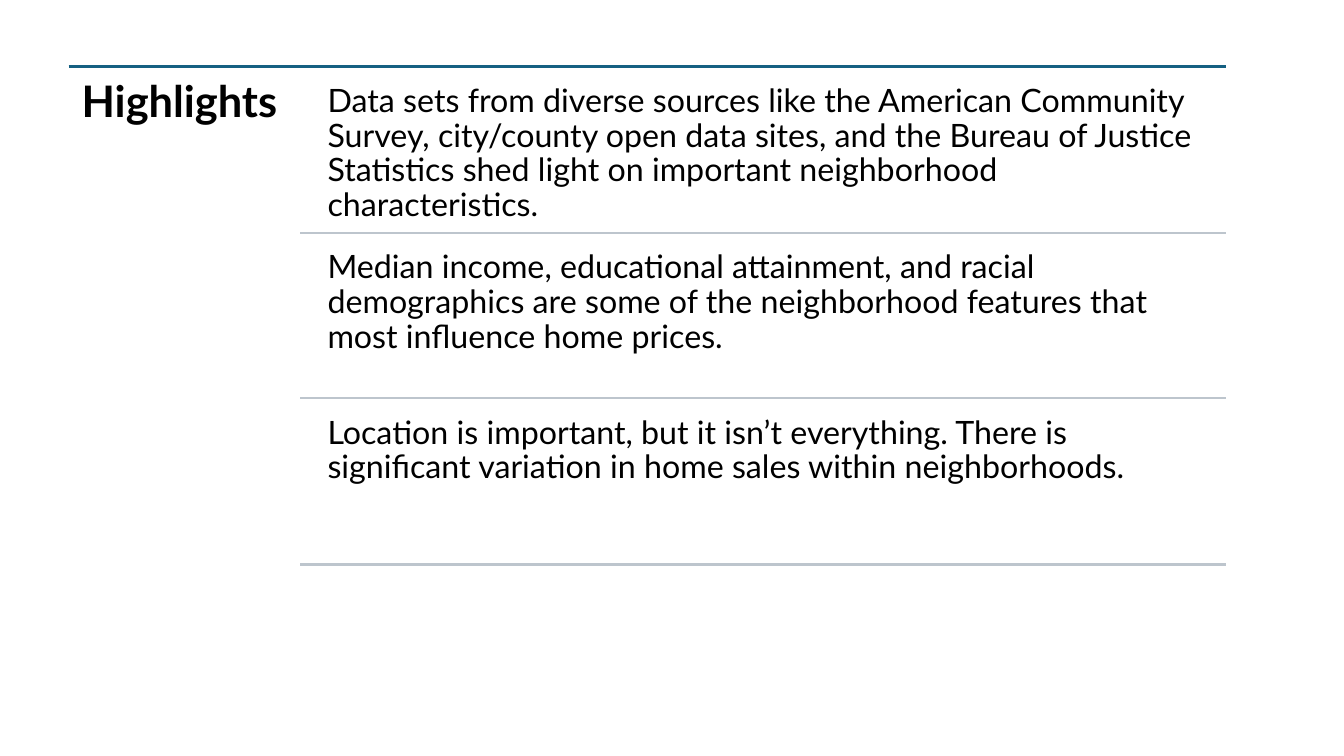
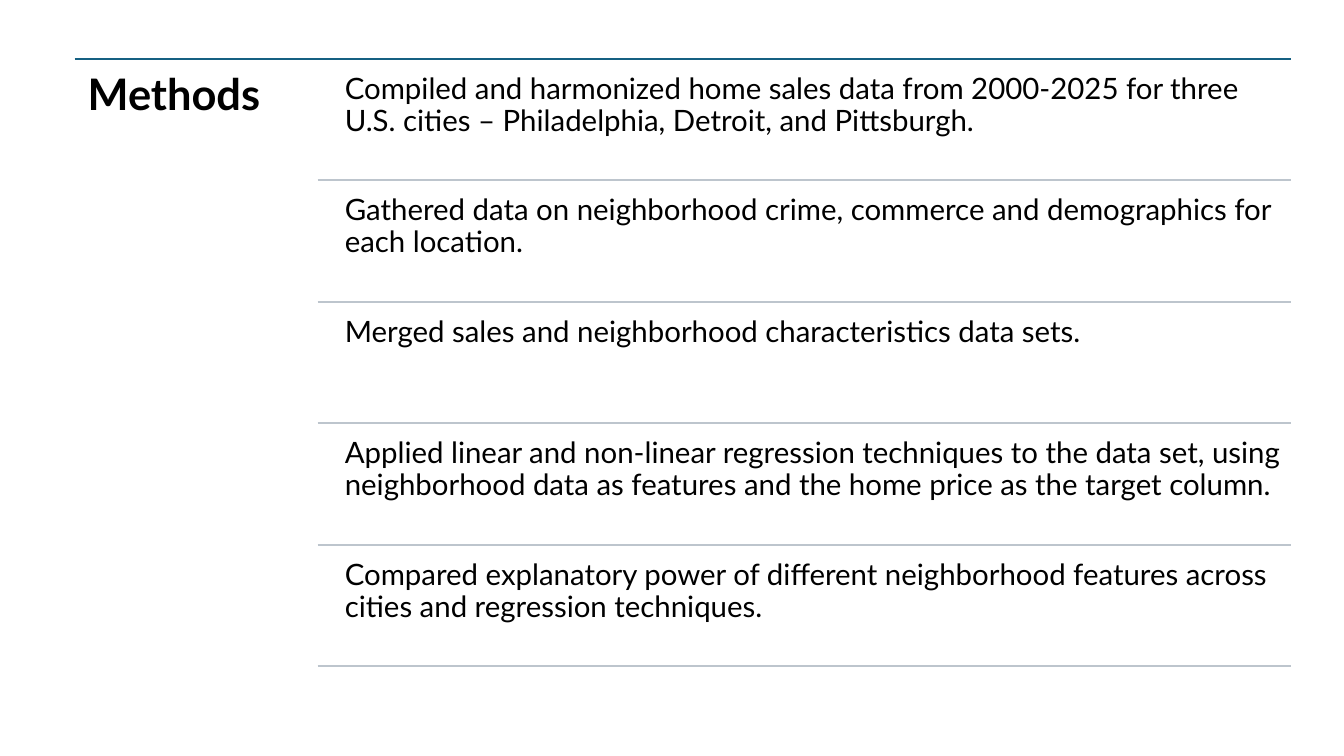
"""Build the Highlights and Methods slides, each a heading beside ruled statements."""
from lxml.etree import SubElement
from pptx import Presentation
from pptx.dml.color import RGBColor
from pptx.enum.shapes import MSO_CONNECTOR
from pptx.enum.text import MSO_ANCHOR, MSO_AUTO_SIZE, PP_ALIGN
from pptx.oxml.ns import qn
from pptx.util import Pt

PX = 9144
FONT = "Lato"
BLACK = RGBColor(0x00, 0x00, 0x00)
BLUE = RGBColor(0x15, 0x60, 0x82)
GREY = RGBColor(0xBD, 0xC5, 0xCD)
TITLE_SIZE = 31
TITLE_INSET = 13

SLIDES = [
    {
        "title": "Highlights",
        "left": 68, "right": 1216, "top": 66, "bottom": 560,
        "title_width": 230, "title_height": 502,
        "text_left": 315, "gap": 8, "inset": 10, "size": 23,
        "statements": [
            "Data sets from diverse sources like the American Community Survey, "
            "city/county open data sites, and the Bureau of Justice Statistics "
            "shed light on important neighborhood characteristics.",
            "Median income, educational attainment, and racial demographics are "
            "some of the neighborhood features that most influence home prices.",
            "Location is important, but it isn’t everything. There is significant "
            "variation in home sales within neighborhoods.",
        ],
    },
    {
        "title": "Methods",
        "left": 74, "right": 1280, "top": 59, "bottom": 661,
        "title_width": 241, "title_height": 609,
        "text_left": 333, "gap": 6, "inset": 9, "size": 21,
        "statements": [
            "Compiled and harmonized home sales data from 2000-2025 for three "
            "U.S. cities – Philadelphia, Detroit, and Pittsburgh.",
            "Gathered data on neighborhood crime, commerce and demographics for "
            "each location.",
            "Merged sales and neighborhood characteristics data sets.",
            "Applied linear and non-linear regression techniques to the data set, "
            "using neighborhood data as features and the home price as the target "
            "column.",
            "Compared explanatory power of different neighborhood features across "
            "cities and regression techniques.",
        ],
    },
]


def add_rule(slide, left, right, y, color):
    rule = slide.shapes.add_connector(
        MSO_CONNECTOR.STRAIGHT, left * PX, y * PX, right * PX, y * PX)
    rule.line.color.rgb = color
    rule.line.width = Pt(1.5)
    SubElement(rule._element.spPr, qn("a:effectLst"))


def write_text(shape, text, size, inset, bold=False):
    frame = shape.text_frame
    frame.word_wrap = True
    frame.auto_size = MSO_AUTO_SIZE.NONE
    frame.vertical_anchor = MSO_ANCHOR.TOP
    frame.margin_left = frame.margin_right = inset * PX
    frame.margin_top = frame.margin_bottom = inset * PX
    paragraph = frame.paragraphs[0]
    paragraph.alignment = PP_ALIGN.LEFT
    paragraph.line_spacing = 0.9
    run = paragraph.add_run()
    run.text = text
    run.font.name = FONT
    run.font.size = Pt(size)
    run.font.bold = bold
    run.font.color.rgb = BLACK


presentation = Presentation()
presentation.slide_width = 1333 * PX
presentation.slide_height = 750 * PX
title_only = presentation.slide_layouts[5]

for content in SLIDES:
    slide = presentation.slides.add_slide(title_only)
    left, right, top = content["left"], content["right"], content["top"]
    add_rule(slide, left, right, top, BLUE)

    title = slide.shapes.title
    title.left, title.top = left * PX, top * PX
    title.width = content["title_width"] * PX
    title.height = content["title_height"] * PX
    write_text(title, content["title"], TITLE_SIZE, TITLE_INSET, bold=True)

    text_left, gap = content["text_left"], content["gap"]
    statements = content["statements"]
    pitch = (content["bottom"] - top) / len(statements)
    for index, statement in enumerate(statements):
        row_top = round(top + index * pitch)
        row_bottom = round(top + (index + 1) * pitch)
        box = slide.shapes.add_textbox(
            text_left * PX, (row_top + gap) * PX,
            (right - text_left) * PX, (row_bottom - row_top - gap) * PX)
        write_text(box, statement, content["size"], content["inset"])
        add_rule(slide, left + content["title_width"], right, row_bottom, GREY)

presentation.save("out.pptx")
